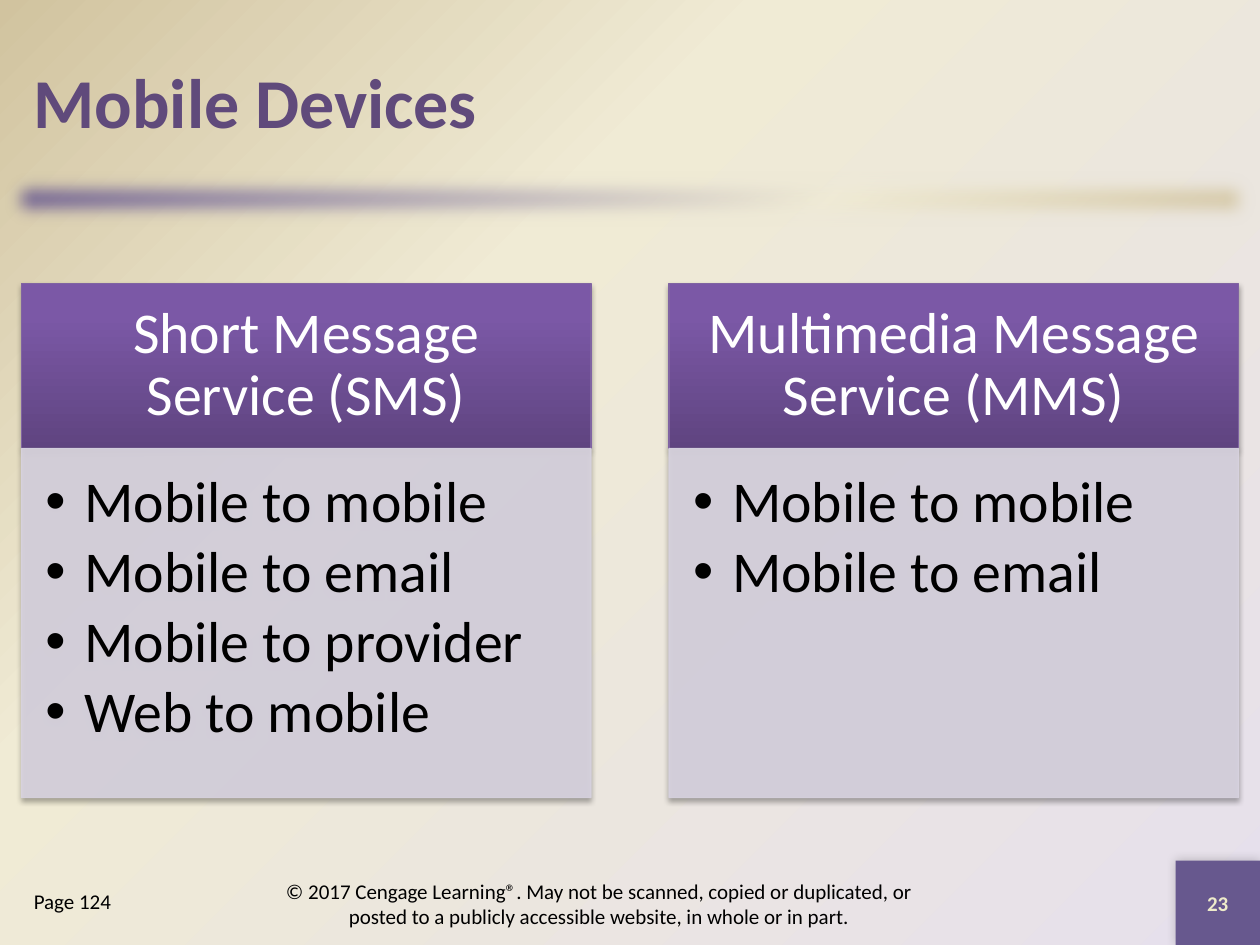
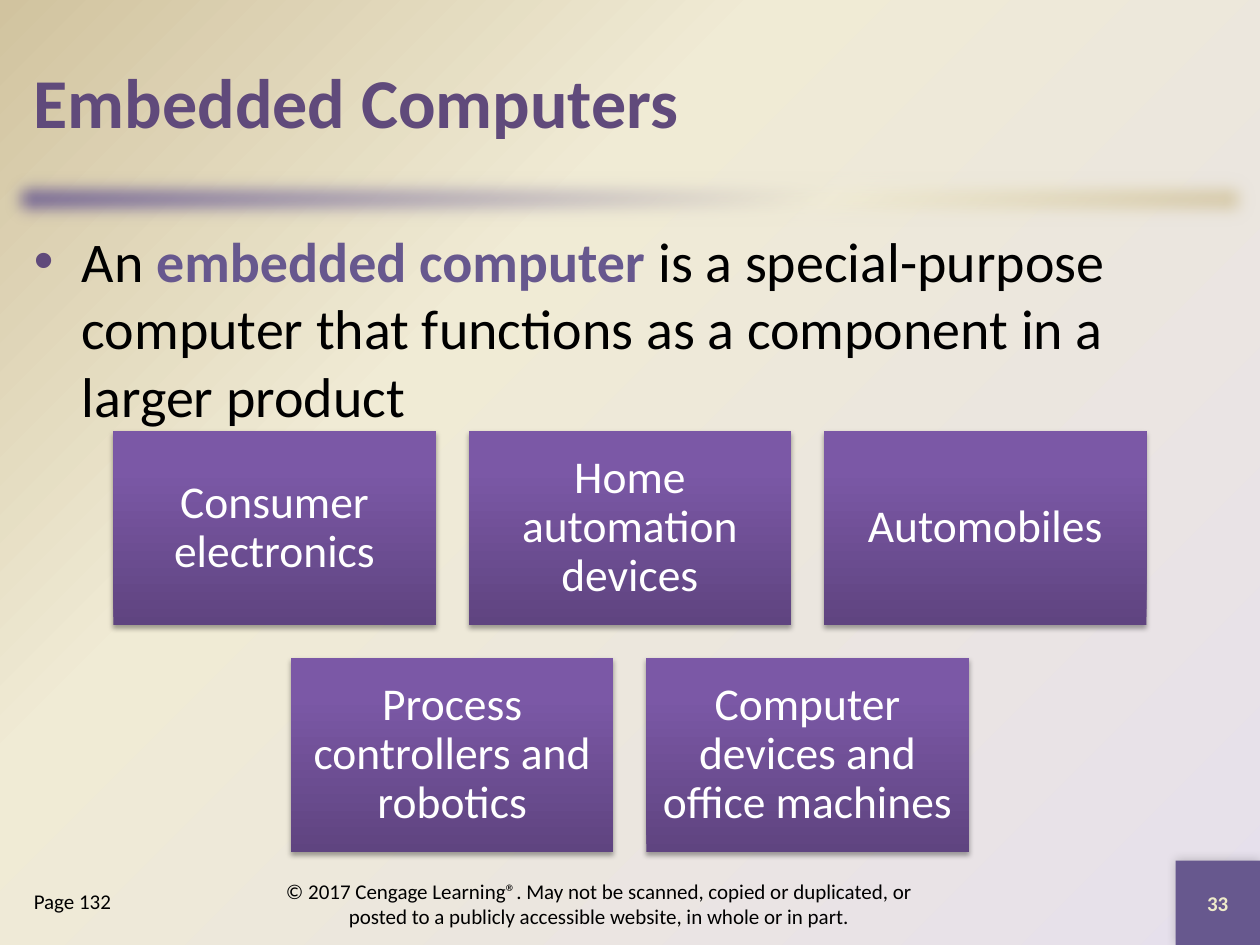
import pptx
import pptx.util
import pptx.dml.color
import pptx.enum.shapes
import pptx.enum.text
import pptx.oxml
from pptx.util import Inches, Pt

COLORS = {
    "title": "604A7B", "accent": "67588E", "number": "EEEBCA",
    "text": "000000", "white": "FFFFFF", "shadow": "000000",
    "header_line": "8064A2", "panel": "D8D3E0",
    "lilac": "E6E0EC", "cream": "F0EBD5", "tan": "D1C39F",
    "tile_dark": "5F4480", "tile_mid": "7B58A6", "tile_light": "7C57A8",
}
FONT = "Calibri"
COPYRIGHT = ("© 2017 Cengage Learning®. May not be scanned, copied or duplicated, "
             "or posted to a publicly accessible website, in whole or in part.")

MESSAGING = {
    "title": "Mobile Devices", "page": "Page 124", "number": "23",
    "columns": [
        ("Short Message Service (SMS)",
         ["Mobile to mobile", "Mobile to email", "Mobile to provider", "Web to mobile"]),
        ("Multimedia Message Service (MMS)",
         ["Mobile to mobile", "Mobile to email"]),
    ],
}
EMBEDDED = {
    "title": "Embedded Computers", "page": "Page 132", "number": "33",
    "definition": [
        ("An ", "text", False),
        ("embedded computer ", "accent", True),
        ("is a special-purpose computer that functions as a component in a larger product",
         "text", False),
    ],
    "tiles": [
        ["Consumer electronics", "Home automation devices", "Automobiles"],
        ["Process controllers and robotics", "Computer devices and office machines"],
    ],
}

SLIDE_WIDTH, SLIDE_HEIGHT = 10, 7.5
MARGIN = 0.17
BACKGROUND_STOPS = [(0, "lilac"), (65, "cream"), (100, "tan")]
BAND_STOPS = [(0, "accent"), (65, "cream"), (100, "tan")]
TILE_STOPS = [(0, "tile_dark"), (80, "tile_mid"), (100, "tile_light")]
CORNER_TO_CORNER = ('<a:path path="circle">'
                    '<a:fillToRect l="100000" t="100000" r="0" b="0"/></a:path>')
CARD_SHADOW = dict(alpha=35, blur=3.1, distance=1.8, angle=90)
CORNER_SHADOW = dict(alpha=20, blur=6, distance=0, angle=225)
MIDDLE = pptx.enum.text.MSO_ANCHOR.MIDDLE
TOP = pptx.enum.text.MSO_ANCHOR.TOP
CENTER = pptx.enum.text.PP_ALIGN.CENTER
LEFT = pptx.enum.text.PP_ALIGN.LEFT


def rgb(name):
    return pptx.dml.color.RGBColor.from_string(COLORS[name])


def element(tag, attributes="", inside=""):
    """Parse one DrawingML element."""
    namespace = 'xmlns:a="http://schemas.openxmlformats.org/drawingml/2006/main"'
    return pptx.oxml.parse_xml(f"<a:{tag} {namespace} {attributes}>{inside}</a:{tag}>")


def direction(degrees):
    return f'<a:lin ang="{degrees * 60000}" scaled="0"/>'


def set_gradient(holder, stops, course):
    """Swap the solid fill that holder carries for a gradient."""
    marks = "".join(f'<a:gs pos="{place * 1000}"><a:srgbClr val="{COLORS[name]}"/></a:gs>'
                    for place, name in stops)
    solid = holder.find(pptx.oxml.ns.qn("a:solidFill"))
    gradient = element("gradFill", 'rotWithShape="1"', f"<a:gsLst>{marks}</a:gsLst>{course}")
    holder.replace(solid, gradient)


def add_effect(shape, effect):
    shape.element.spPr.find(pptx.oxml.ns.qn("a:effectLst")).append(effect)


def add_shadow(shape, alpha, blur, distance, angle):
    add_effect(shape, element(
        "outerShdw",
        f'blurRad="{Pt(blur)}" dist="{Pt(distance)}" dir="{angle * 60000}" rotWithShape="0"',
        f'<a:srgbClr val="{COLORS["shadow"]}"><a:alpha val="{alpha * 1000}"/></a:srgbClr>'))


def add_rectangle(page, at, fill, line=None):
    shape = page.shapes.add_shape(pptx.enum.shapes.MSO_SHAPE.RECTANGLE,
                                  *[Inches(length) for length in at])
    shape.shadow.inherit = False
    shape.fill.solid()
    shape.fill.fore_color.rgb = rgb(fill)
    if line:
        shape.line.color.rgb = rgb(line)
        shape.line.width = Pt(0.75)
    else:
        shape.line.fill.background()
    return shape


def add_text_box(page, at):
    return page.shapes.add_textbox(*[Inches(length) for length in at])


def set_text(shape, lines, size, color="text", bold=False, align=LEFT, anchor=TOP,
             insets=(0.1, 0.05, 0.1, 0.05), spacing=None):
    frame = shape.text_frame
    frame.text = "\n".join(lines)
    frame.word_wrap = True
    frame.vertical_anchor = anchor
    (frame.margin_left, frame.margin_top,
     frame.margin_right, frame.margin_bottom) = [Inches(inset) for inset in insets]
    for para in frame.paragraphs:
        para.alignment = align
        para.line_spacing = spacing
        for span in para.runs:
            format_span(span, size, color, bold)
    return frame


def format_span(span, size, color, bold):
    span.font.name = FONT
    span.font.size = Pt(size)
    span.font.bold = bold
    span.font.color.rgb = rgb(color)


def add_bullet(para, indent, color=None):
    properties = para._p.get_or_add_pPr()
    properties.set("marL", str(Inches(indent)))
    properties.set("indent", str(-Inches(indent)))
    if color:
        properties.append(element("buClr", inside=f'<a:srgbClr val="{COLORS[color]}"/>'))
    properties.append(element("buFont", 'typeface="Arial"'))
    properties.append(element("buChar", 'char="•"'))


def add_page(deck, content):
    """Add a slide with the shared background, band, title and footer."""
    page = deck.slides.add_slide(deck.slide_layouts[6])
    page.background.fill.solid()
    set_gradient(page.element.cSld.bg.bgPr, BACKGROUND_STOPS, CORNER_TO_CORNER)

    band = add_rectangle(page, (0, 1.33, SLIDE_WIDTH, 0.5), "accent")
    set_gradient(band.element.spPr, BAND_STOPS, direction(45))
    add_effect(band, element("softEdge", f'rad="{Inches(0.15)}"'))

    side = 0.67
    corner = add_rectangle(page, (SLIDE_WIDTH - side, SLIDE_HEIGHT - side, side, side), "accent")
    add_shadow(corner, **CORNER_SHADOW)
    set_text(corner, [content["number"]], 12, "number", True, CENTER, MIDDLE)

    title = add_text_box(page, (MARGIN, 0.17, 9.67, 1.25))
    set_text(title, [content["title"]], 40, "title", True, anchor=MIDDLE)
    set_text(add_text_box(page, (MARGIN, 7, 1.83, 0.5)), [content["page"]], 12)
    set_text(add_text_box(page, (2.17, 6.97, 5.17, 0.4)), [COPYRIGHT], 12,
             align=CENTER, anchor=MIDDLE)
    return page


def add_tile(page, at, label, size, insets, line=None):
    tile = add_rectangle(page, at, "tile_mid", line)
    set_gradient(tile.element.spPr, TILE_STOPS, direction(270))
    add_shadow(tile, **CARD_SHADOW)
    set_text(tile, [label], size, "white", align=CENTER, anchor=MIDDLE,
             insets=insets, spacing=0.9)


def add_panel(page, at, items):
    panel = add_rectangle(page, at, "panel", "panel")
    for color in panel.element.spPr.iter(pptx.oxml.ns.qn("a:srgbClr")):
        color.append(element("alpha", 'val="90000"'))
    add_shadow(panel, **CARD_SHADOW)
    frame = set_text(panel, items, 33, insets=(0.19, 0.19, 0.26, 0.29), spacing=0.9)
    for para in frame.paragraphs:
        para.space_after = Pt(4.4)
        add_bullet(para, 0.31)


def build_messaging(deck):
    page = add_page(deck, MESSAGING)
    top, width, header_height, panel_height = 2.25, 4.52, 1.31, 2.77
    pitch = SLIDE_WIDTH - 2 * MARGIN - width
    for index, (heading, items) in enumerate(MESSAGING["columns"]):
        left = MARGIN + index * pitch
        add_tile(page, (left, top, width, header_height), heading, 33,
                 (0.26, 0.15, 0.26, 0.15), "header_line")
        add_panel(page, (left, top + header_height, width, panel_height), items)


def build_embedded(deck):
    page = add_page(deck, EMBEDDED)
    frame = add_text_box(page, (MARGIN, 1.75, 9.67, 5.08)).text_frame
    frame.word_wrap = True
    para = frame.paragraphs[0]
    add_bullet(para, 0.38, "title")
    for words, color, bold in EMBEDDED["definition"]:
        span = para.add_run()
        span.text = words
        format_span(span, 32, color, bold)

    top, width, height, gap = 3.42, 2.56, 1.54, 0.26
    for row, labels in enumerate(EMBEDDED["tiles"]):
        row_width = len(labels) * (width + gap) - gap
        for column, label in enumerate(labels):
            left = (SLIDE_WIDTH - row_width) / 2 + column * (width + gap)
            add_tile(page, (left, top + row * (height + gap), width, height),
                     label, 26, (0.11,) * 4)


def main():
    deck = pptx.Presentation()
    deck.slide_width = Inches(SLIDE_WIDTH)
    deck.slide_height = Inches(SLIDE_HEIGHT)
    build_messaging(deck)
    build_embedded(deck)
    deck.save("out.pptx")


if __name__ == "__main__":
    main()
